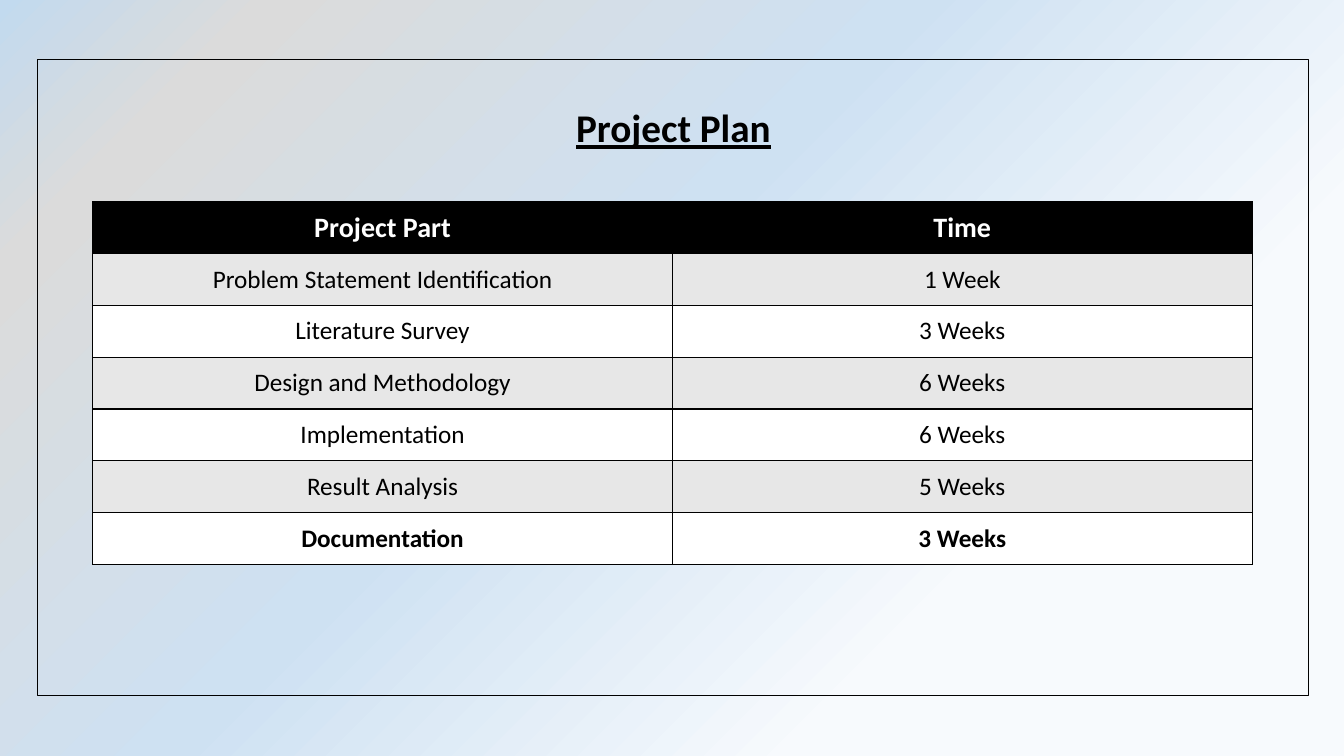
from dataclasses import dataclass

from lxml import etree
from pptx import Presentation
from pptx import util as u
from pptx.dml.color import RGBColor
from pptx.enum import shapes, text
from pptx.oxml.ns import qn


@dataclass(frozen=True)
class Theme:
    font: str = "Calibri"
    ink: str = "000000"
    paper: str = "FFFFFF"
    band: str = "E7E7E7"
    # Backdrop colours with their percentages, from top left to bottom right
    backdrop: tuple = ((0, "C2DAEF"), (13, "DBDBDB"), (44, "CEE1F2"), (74, "F7FAFD"))
    title_size: int = 28
    header_size: int = 20
    body_size: int = 18
    line: int = 1


THEME = Theme()
WIDTH, HEIGHT = u.Inches(13.33), u.Inches(7.5)

# Left, top, width and height as percentages of the slide
FRAME_AREA = (2.78, 7.87, 94.6, 84.13)
TITLE_AREA = (6.97, 11.73, 86.27, 10.93)
TABLE_AREA = (6.9, 26.67, 86.27, 48)

PLAN = [
    ("Project Part", "Time"),
    ("Problem Statement Identification", "1 Week"),
    ("Literature Survey", "3 Weeks"),
    ("Design and Methodology", "6 Weeks"),
    ("Implementation", "6 Weeks"),
    ("Result Analysis", "5 Weeks"),
    ("Documentation", "3 Weeks"),
]


def place(area):
    """Turn percentages of the slide into lengths."""
    return [round(share * side / 100) for share, side in zip(area, (WIDTH, HEIGHT) * 2)]


def color(value):
    return RGBColor.from_string(value)


def add_color(parent, value):
    etree.SubElement(parent, qn("a:srgbClr"), val=value)


def paint_backdrop(page):
    fill = page.background.fill
    fill.gradient()
    fill.gradient_angle = 315
    stops = page.element.find(".//" + qn("a:gsLst"))
    for stop in list(stops):
        stops.remove(stop)
    for percent, value in THEME.backdrop:
        add_color(etree.SubElement(stops, qn("a:gs"), pos=str(percent * 1000)), value)


def write(frame, words, size, ink, bold=False, underline=False):
    """Write one centred line and return its paragraph."""
    para = frame.paragraphs[0]
    para.alignment = text.PP_ALIGN.CENTER
    span = para.add_run()
    span.text = words
    span.font.name = THEME.font
    span.font.size = u.Pt(size)
    span.font.bold = bold
    span.font.underline = underline
    span.font.color.rgb = color(ink)
    return para


def add_title(page, words):
    box = page.shapes.add_textbox(*place(TITLE_AREA))
    box.text_frame.word_wrap = True
    box.text_frame.vertical_anchor = text.MSO_ANCHOR.MIDDLE
    para = write(box.text_frame, words, THEME.title_size, THEME.ink, True, True)
    para.line_spacing = 0.9


def add_borders(cell):
    properties = cell._tc.get_or_add_tcPr()
    for side in ("lnL", "lnR", "lnT", "lnB"):
        line = etree.SubElement(properties, qn("a:" + side), w=str(u.Pt(THEME.line)))
        add_color(etree.SubElement(line, qn("a:solidFill")), THEME.ink)


def fill_cell(cell, words, size, ink, fill, bold):
    add_borders(cell)
    cell.fill.solid()
    cell.fill.fore_color.rgb = color(fill)
    cell.vertical_anchor = text.MSO_ANCHOR.MIDDLE
    write(cell.text_frame, words, size, ink, bold)


def add_plan(page, rows):
    table = page.shapes.add_table(len(rows), len(rows[0]), *place(TABLE_AREA)).table
    last = len(rows) - 1
    table.last_row = True
    for r, row in enumerate(rows):
        # Header in reverse, then alternating bands; the last row is bold
        if r == 0:
            size, ink, fill = THEME.header_size, THEME.paper, THEME.ink
        else:
            size, ink = THEME.body_size, THEME.ink
            fill = THEME.band if r % 2 else THEME.paper
        for c, words in enumerate(row):
            fill_cell(table.cell(r, c), words, size, ink, fill, r in (0, last))


def add_frame(page):
    frame = page.shapes.add_shape(shapes.MSO_SHAPE.RECTANGLE, *place(FRAME_AREA))
    frame.shadow.inherit = False
    frame.fill.background()
    frame.line.color.rgb = color(THEME.ink)
    frame.line.width = u.Pt(THEME.line)


def main():
    deck = Presentation()
    deck.slide_width, deck.slide_height = WIDTH, HEIGHT
    page = deck.slides.add_slide(deck.slide_layouts[6])
    paint_backdrop(page)
    add_title(page, "Project Plan")
    add_plan(page, PLAN)
    add_frame(page)
    deck.save("out.pptx")


if __name__ == "__main__":
    main()
